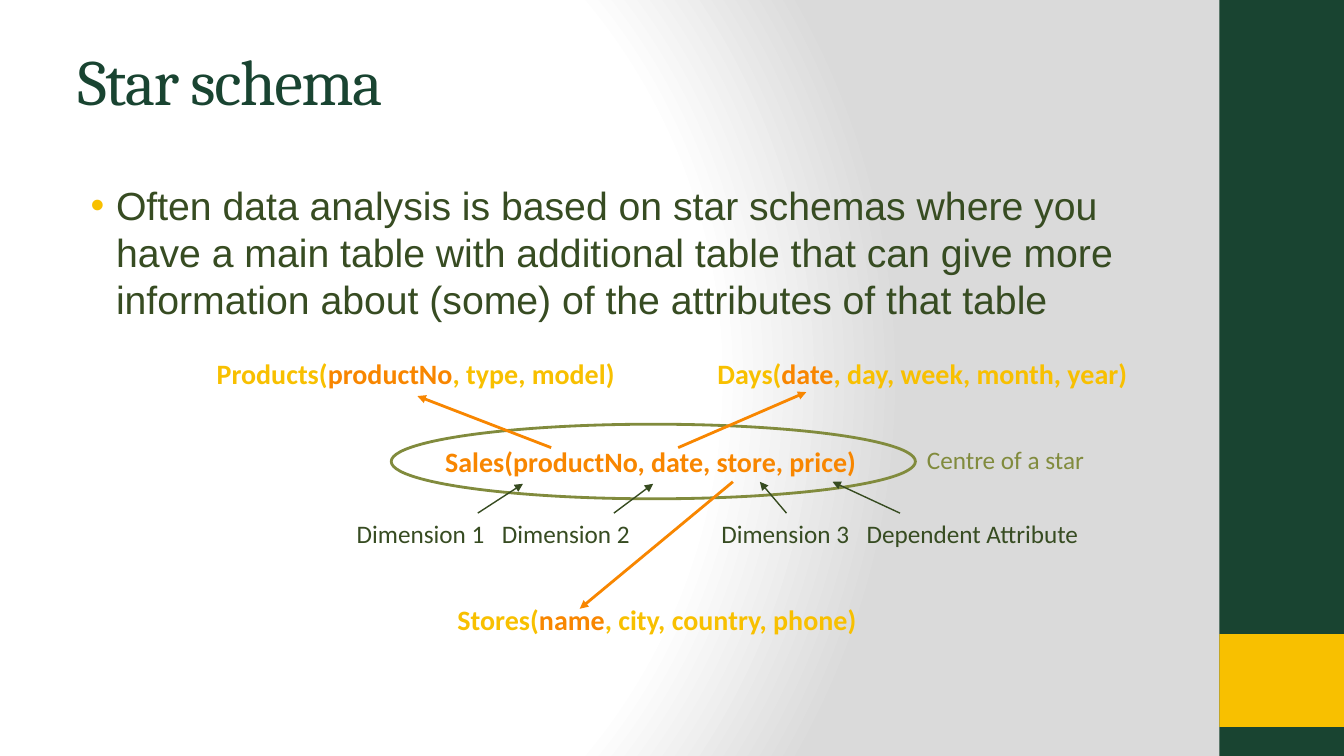
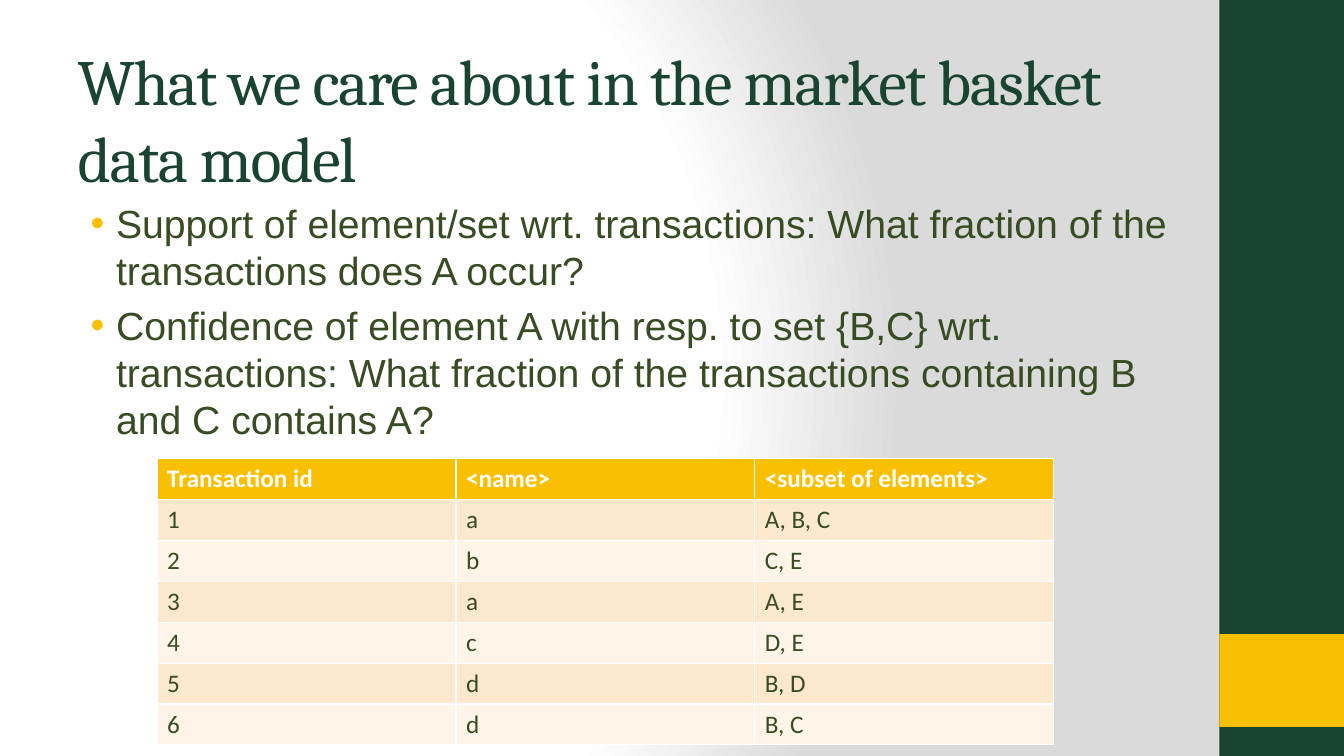
from pptx import Presentation
from pptx.dml.color import RGBColor
from pptx.enum import shapes, text
from pptx.oxml import parse_xml
from pptx.oxml.ns import nsdecls, qn
from pptx.oxml.xmlchemy import OxmlElement
from pptx.util import Cm, Pt

# Colours and fonts
GREEN = RGBColor(0x19, 0x44, 0x31)
GOLD = RGBColor(0xF8, 0xC0, 0x00)
ORANGE = RGBColor(0xF8, 0x86, 0x00)
OLIVE = RGBColor(0x81, 0x8B, 0x3D)
DARK = RGBColor(0x37, 0x4C, 0x22)
ARROW_GREEN = RGBColor(0x36, 0x4B, 0x20)
WHITE = RGBColor(0xFF, 0xFF, 0xFF)
GREY = RGBColor(0xDA, 0xDA, 0xDA)
ROW_FILLS = (RGBColor(0xFE, 0xF4, 0xE7), RGBColor(0xFC, 0xE8, 0xCC))
TITLE_FONT, BODY_FONT, LABEL_FONT = "Cambria", "Arial", "Calibri"

# Shared layout, in centimetres: left, top, width, height
TITLE_BOX = (1.7, 0.91, 28.22, 3.17)
BODY_BOX = (1.7, 4.45, 28.22, 13.33)
BANDS = [((30.73, -0.33, 3.45, 19.81), GREEN), ((30.73, 15.98, 3.45, 2.34), GOLD)]

# Star schema content
STAR_TITLE = "Star schema"
STAR_POINTS = [
    "Often data analysis is based on star schemas where you have a main table with "
    "additional table that can give more information about (some) of the attributes "
    "of that table",
]
RELATIONS = {  # name: left, top, width, parts
    "sales": (10.97, 11.07, 10.95, [("Sales(productNo, date, store, price)", ORANGE)]),
    "products": (5.21, 8.86, 10.62, [
        ("Products(", GOLD), ("productNo", ORANGE), (", type, model)", GOLD)]),
    "stores": (11.28, 15.06, 10.64, [
        ("Stores(", GOLD), ("name", ORANGE), (", city, country, phone)", GOLD)]),
    "days": (17.83, 8.86, 10.92, [
        ("Days(", GOLD), ("date", ORANGE), (", day, week, month, year)", GOLD)]),
}
NOTE_TOP = 12.93
NOTES = [  # text, left, width, arrow start x, arrow tip
    ("Dimension 1", 8.74, 3.78, 12.04, (13.18, 12.19)),
    ("Dimension 2", 12.4, 3.78, 15.47, (16.46, 12.19)),
    ("Dimension 3", 17.93, 3.78, 19.82, (19.15, 12.14)),
    ("Dependent Attribute", 21.59, 5.92, 22.68, (20.98, 12.14)),
]
CENTRE_ELLIPSE = (9.86, 10.69, 13.21, 1.88)
CENTRE_LABEL = ("Centre of a star", 23.11, 11.07, 4.52)
KEY_ARROWS = [  # relation, start, tip
    ("products", (13.89, 11.28), (10.52, 9.98)),
    ("days", (17.09, 11.28), (20.32, 9.88)),
    ("stores", (18.47, 12.14), (14.61, 15.34)),
]

# Market basket content
BASKET_TITLE = "What we care about in the market basket data model"
BASKET_POINTS = [
    "Support of element/set wrt. transactions: What fraction of the transactions "
    "does A occur?",
    "Confidence of element A with resp. to set {B,C} wrt. transactions: What fraction "
    "of the transactions containing B and C contains A?",
]
BASKET_BODY_TOP = 4.9
TRANSACTIONS = [
    ("Transaction id", "<name>", "<subset of elements>"),
    ("1", "a", "A, B, C"),
    ("2", "b", "C, E"),
    ("3", "a", "A, E"),
    ("4", "c", "D, E"),
    ("5", "d", "B, D"),
    ("6", "d", "B, C"),
]
TABLE_LEFT, TABLE_TOP, COLUMN_WIDTH, ROW_HEIGHT = 3.96, 11.56, 7.53, 1.03


def cm(values):
    return [Cm(value) for value in values]


def place(shape, box):
    shape.left, shape.top, shape.width, shape.height = cm(box)


def format_run(run, size, color, bold=False):
    run.font.name, run.font.size, run.font.bold = LABEL_FONT, Pt(size), bold
    run.font.color.rgb = color


# Master: background, text styles, placeholders and bands
def set_background(master):
    common = master.element.cSld
    for background in common.findall(qn("p:bg")):
        common.remove(background)
    stops = "".join(
        f'<a:gs pos="{position}"><a:srgbClr val="{color}"/></a:gs>'
        for position, color in ((0, WHITE), (75000, WHITE), (100000, GREY)))
    common.insert(0, parse_xml(
        f'<p:bg {nsdecls("p", "a")}><p:bgPr><a:gradFill rotWithShape="1">'
        f'<a:gsLst>{stops}</a:gsLst><a:path path="circle">'
        '<a:fillToRect l="20000" t="50000" r="100000" b="50000"/></a:path>'
        '</a:gradFill><a:effectLst/></p:bgPr></p:bg>'))


def set_text_style(master, style, attributes, spacing, run_attributes, color, font):
    styles = master.element.find(qn("p:txStyles")).find(qn(style))
    level = styles.find(qn("a:lvl1pPr"))
    styles.replace(level, parse_xml(
        f'<a:lvl1pPr {nsdecls("a")} algn="l" {attributes}>{spacing}'
        f'<a:defRPr {run_attributes}><a:solidFill><a:srgbClr val="{color}"/></a:solidFill>'
        f'<a:latin typeface="{font}"/><a:cs typeface="{font}"/></a:defRPr></a:lvl1pPr>'))


def set_up_master(presentation):
    master = presentation.slide_master
    set_background(master)
    set_text_style(master, "p:titleStyle", "", "<a:buNone/>",
                   'sz="4600" spc="-100"', GREEN, TITLE_FONT)
    set_text_style(
        master, "p:bodyStyle", f'marL="{Cm(0.97)}" indent="{Cm(-0.64)}"',
        '<a:spcBef><a:spcPct val="20000"/></a:spcBef>'
        f'<a:buClr><a:srgbClr val="{GOLD}"/></a:buClr>'
        '<a:buFont typeface="Arial"/><a:buChar char="•"/>',
        'sz="2800"', DARK, BODY_FONT)
    for placeholder, box in zip(list(master.placeholders)[:2], (TITLE_BOX, BODY_BOX)):
        place(placeholder, box)
        placeholder.text_frame.vertical_anchor = text.MSO_ANCHOR.TOP
        placeholder.text_frame.auto_size = text.MSO_AUTO_SIZE.NONE


def add_bands(slide, master):
    for index, (box, color) in enumerate(BANDS):
        band = slide.shapes.add_shape(shapes.MSO_SHAPE.RECTANGLE, *cm(box))
        band.shadow.inherit = False
        band.fill.solid()
        band.fill.fore_color.rgb = color
        band.line.fill.background()
        master.shapes.element.insert(2 + index, band.element)


# Slide parts
def add_content_slide(presentation, title, points):
    slide = presentation.slides.add_slide(presentation.slide_layouts[1])
    slide.shapes.title.text_frame.text = title
    slide.placeholders[1].text_frame.text = "\n".join(points)
    return slide


def add_label(slide, left, top, width, parts, size=18, bold=False):
    height = 1.12 if size == 20 else 1.02
    label = slide.shapes.add_textbox(*cm((left, top, width, height)))
    label.text_frame.word_wrap = False
    label.text_frame.auto_size = text.MSO_AUTO_SIZE.SHAPE_TO_FIT_TEXT
    paragraph = label.text_frame.paragraphs[0]
    for words, color in parts:
        run = paragraph.add_run()
        run.text = words
        format_run(run, size, color, bold)
    return label


def add_arrow(slide, start, tip, color, width):
    arrow = slide.shapes.add_connector(shapes.MSO_CONNECTOR.STRAIGHT, *cm(start + tip))
    arrow.line.color.rgb = color
    arrow.line.width = Pt(width)
    head = OxmlElement("a:tailEnd")
    head.set("type", "triangle")
    arrow.line._get_or_add_ln().append(head)
    arrow.element.spPr.append(OxmlElement("a:effectLst"))
    return arrow


def add_star_diagram(slide):
    relations = {
        name: add_label(slide, left, top, width, parts, size=20, bold=True)
        for name, (left, top, width, parts) in RELATIONS.items()}

    ellipse = slide.shapes.add_shape(shapes.MSO_SHAPE.OVAL, *cm(CENTRE_ELLIPSE))
    ellipse.shadow.inherit = False
    ellipse.fill.background()
    ellipse.line.color.rgb = OLIVE
    ellipse.line.width = Pt(2)
    words, *position = CENTRE_LABEL
    add_label(slide, *position, [(words, OLIVE)])

    for words, left, width, start, tip in NOTES:
        note = add_label(slide, left, NOTE_TOP, width, [(words, DARK)])
        arrow = add_arrow(slide, (start, NOTE_TOP), tip, ARROW_GREEN, 1)
        if words == "Dimension 3":
            arrow.begin_connect(note, 0)
    for name, start, tip in KEY_ARROWS:
        arrow = add_arrow(slide, start, tip, ORANGE, 2)
        if name == "products":
            arrow.end_connect(relations[name], 2)


def add_transactions(slide):
    rows, columns = len(TRANSACTIONS), len(TRANSACTIONS[0])
    table = slide.shapes.add_table(rows, columns, *cm((
        TABLE_LEFT, TABLE_TOP, columns * COLUMN_WIDTH, rows * ROW_HEIGHT))).table
    for row_index, values in enumerate(TRANSACTIONS):
        header = row_index == 0
        for column_index, value in enumerate(values):
            cell = table.cell(row_index, column_index)
            cell.fill.solid()
            cell.fill.fore_color.rgb = GOLD if header else ROW_FILLS[row_index % 2]
            cell.text_frame.text = value
            format_run(cell.text_frame.paragraphs[0].runs[0], 18,
                       WHITE if header else DARK, bold=header)


def main():
    presentation = Presentation()
    presentation.slide_width, presentation.slide_height = Cm(33.87), Cm(19.05)
    set_up_master(presentation)

    star = add_content_slide(presentation, STAR_TITLE, STAR_POINTS)
    add_bands(star, presentation.slide_master)
    add_star_diagram(star)

    basket = add_content_slide(presentation, BASKET_TITLE, BASKET_POINTS)
    left, _, width, height = BODY_BOX
    place(basket.placeholders[1], (left, BASKET_BODY_TOP, width, height))
    add_transactions(basket)

    presentation.save("out.pptx")


if __name__ == "__main__":
    main()
